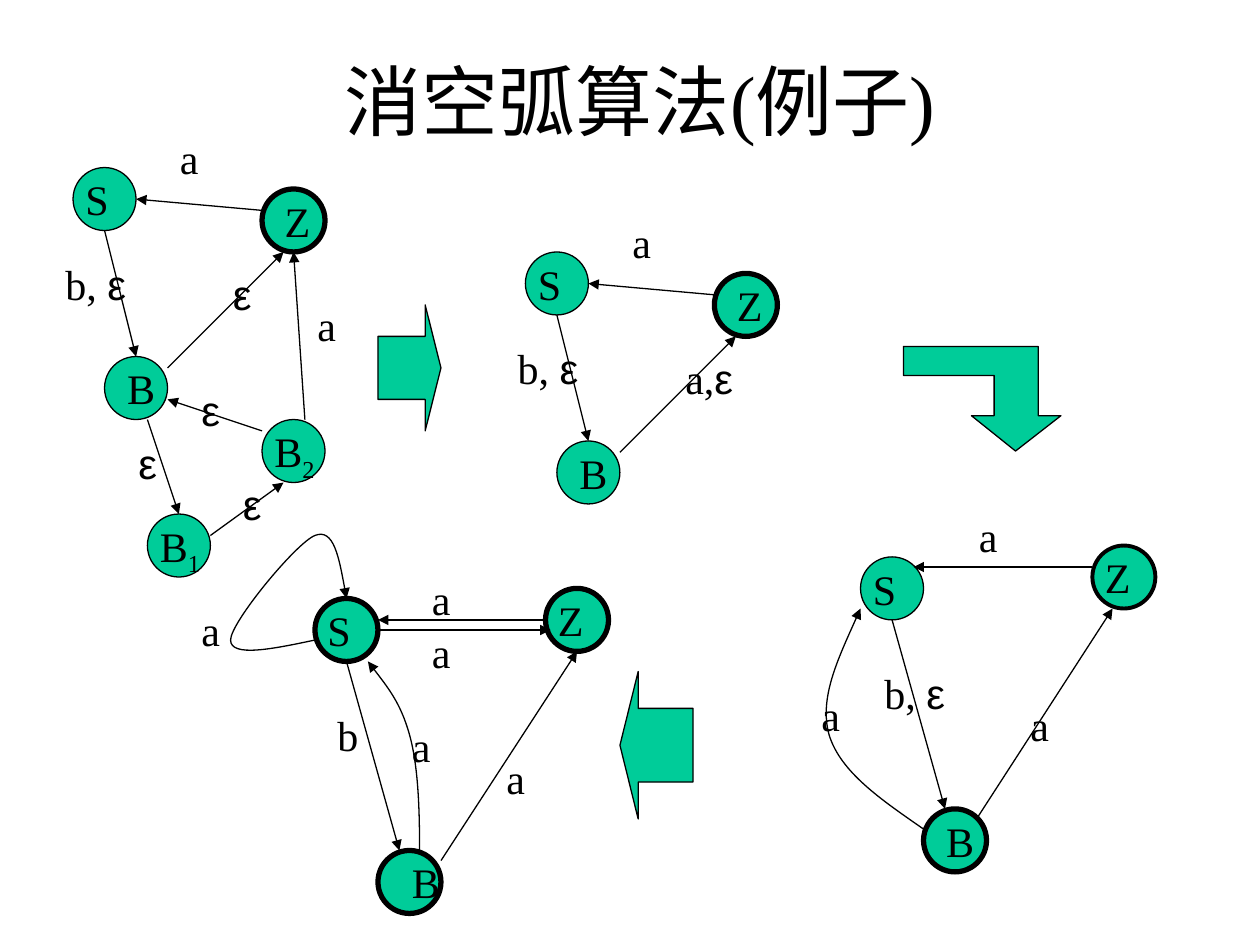
import itertools
import pptx
import pptx.util
import pptx.dml.color
import pptx.enum.shapes
import pptx.enum.text
import pptx.oxml
import pptx.oxml.ns

Inches = pptx.util.Inches
Pt = pptx.util.Pt
Kind = pptx.enum.shapes.MSO_SHAPE


def color(text):
    return pptx.dml.color.RGBColor.from_string(text)


class Board:
    ink = "000000"
    green = "00CC99"
    serif = "Times New Roman"
    sans = "Arial"
    thin = 0.74
    thick = 3
    size = 0.5
    widths = {"S": 0.67, "B": 0.42, "Z": 0.75, "B1": 0.75, "B2": 0.75}

    def __init__(self, deck):
        self.slide = deck.slides.add_slide(deck.slide_layouts[5])
        self.group()

    def group(self, dx=0, dy=0):
        self.dx, self.dy = dx, dy
        self.shapes = self.slide.shapes.add_group_shape().shapes

    def place(self, x, y):
        return Inches(x + self.dx), Inches(y + self.dy)

    def title(self, text, x, y, w, h):
        box = self.slide.shapes.title
        box.left, box.top, box.width, box.height = map(Inches, (x, y, w, h))
        box.text_frame.text = text
        para = box.text_frame.paragraphs[0]
        para.alignment = pptx.enum.text.PP_ALIGN.CENTER
        self.style(para.font, self.serif, 44)

    def style(self, font, name, size):
        font.name = name
        font.size = Pt(size)
        font.color.rgb = color(self.ink)

    def paint(self, shape, width, fill=True):
        shape.shadow.inherit = False
        if fill:
            shape.fill.solid()
            shape.fill.fore_color.rgb = color(self.green)
        else:
            shape.fill.background()
        self.stroke(shape, width)

    def stroke(self, shape, width):
        shape.line.color.rgb = color(self.ink)
        shape.line.width = Pt(width)

    def head(self, shape):
        tail = pptx.oxml.parse_xml(
            '<a:tailEnd %s type="triangle"/>' % pptx.oxml.ns.nsdecls("a"))
        shape.line._get_or_add_ln().append(tail)

    def block(self, kind, x, y, w, h, width=thin):
        shape = self.shapes.add_shape(
            kind, *self.place(x, y), Inches(w), Inches(h))
        self.paint(shape, width)
        return shape

    def arrow(self, kind, x, y, w, h):
        shape = self.block(kind, x, y, w, h)
        shape.adjustments[0] = 0.5
        shape.adjustments[1] = 0.25

    def node(self, text, x, y, shift=0, width=thin):
        self.block(Kind.OVAL, x, y, self.size, self.size, width)
        self.label(text, x + shift, y, self.widths[text])

    def label(self, text, x, y, w=0.42):
        high = 0.56 if text[-1].isdigit() else 0.5
        box = self.shapes.add_textbox(
            *self.place(x, y), Inches(w), Inches(high))
        frame = box.text_frame
        frame.word_wrap = True
        frame.auto_size = pptx.enum.text.MSO_AUTO_SIZE.SHAPE_TO_FIT_TEXT
        para = frame.paragraphs[0]
        para.space_before = Pt(15)
        self.style(para.font, self.sans if text == "ε" else self.serif, 24)
        for (greek, digit), part in itertools.groupby(
                text, lambda c: (c == "ε", c.isdigit())):
            run = para.add_run()
            run.text = "".join(part)
            if greek and text != "ε":
                run.font.name = self.sans
            if digit:
                run.font._element.set("baseline", "-25000")

    def edge(self, x1, y1, x2, y2):
        line = self.shapes.add_connector(
            pptx.enum.shapes.MSO_CONNECTOR.STRAIGHT,
            *self.place(x1, y1), *self.place(x2, y2))
        self.stroke(line, self.thin)
        self.head(line)
        line._element.spPr.append(pptx.oxml.parse_xml(
            "<a:effectLst %s/>" % pptx.oxml.ns.nsdecls("a")))

    def outline(self, points, close):
        spots = [self.place(*point) for point in points]
        form = self.shapes.build_freeform(*spots[0])
        form.add_line_segments(spots[1:], close=close)
        shape = form.convert_to_shape()
        self.paint(shape, self.thin, close)
        return shape

    def curve(self, *points):
        shape = self.outline(points, False)
        self.head(shape)
        tag = pptx.oxml.ns.qn
        track = next(shape._element.iter(tag("a:pathLst")))[0]
        steps = track.findall(tag("a:lnTo"))
        for start in range(0, len(steps), 3):
            bend = pptx.oxml.parse_xml(
                "<a:cubicBezTo %s/>" % pptx.oxml.ns.nsdecls("a"))
            for step in steps[start:start + 3]:
                bend.append(step[0])
                track.remove(step)
            track.append(bend)

    def core(self):
        self.node("S", 0.58, 1.33)
        self.node("Z", 2.08, 1.5, 0.08, self.thick)
        self.node("B", 0.83, 2.83, 0.08)
        self.edge(0.83, 1.83, 1.08, 2.83)
        self.edge(1.33, 2.92, 2.25, 2)
        self.edge(2.08, 1.67, 1.08, 1.58)
        self.label("b, ε", 0.42, 2, 0.75)
        self.label("a", 1.33, 1, 1)


deck = pptx.Presentation()
deck.slide_width, deck.slide_height = Inches(10), Inches(7.5)
board = Board(deck)
board.title("消空弧算法(例子)", 1.83, 0.17, 6.5, 1.25)

board.core()
board.node("B1", 1.17, 4.08)
board.node("B2", 2.08, 3.33)
for ends in ((1.17, 3.33, 1.42, 4.08), (1.67, 4.25, 2.25, 3.83),
             (2.08, 3.42, 1.33, 3.17), (2.42, 3.33, 2.33, 2)):
    board.edge(*ends)
for x, y in ((1.5, 3), (1.83, 3.75), (1, 3.42), (1.75, 2.08)):
    board.label("ε", x, y)
board.label("a", 2.42, 2.33)

board.group(3.59, 0.67)
board.core()
board.label("a,ε", 1.75, 2.08, 0.92)
board.arrow(Kind.RIGHT_ARROW, -0.59, 1.75, 0.5, 1)

board.group()
board.outline(((7.17, 2.98), (7.89, 2.98), (7.89, 3.3), (7.71, 3.3),
               (8.06, 3.58), (8.42, 3.3), (8.24, 3.3), (8.24, 2.75),
               (7.17, 2.75)), True)
board.node("S", 6.83, 4.42)
board.node("Z", 8.67, 4.33, 0, 2.24)
board.node("B", 7.33, 6.42, 0.08, board.thick)
board.edge(7.08, 4.92, 7.5, 6.42)
board.edge(8.67, 4.5, 7.25, 4.5)
board.edge(7.75, 6.5, 8.83, 4.83)
board.curve((7.33, 6.58), (7, 6.35), (6.67, 6.13), (6.58, 5.83),
            (6.5, 5.54), (6.67, 5.19), (6.83, 4.83))
board.label("b, ε", 6.92, 5.25, 0.83)
for x, y in ((7.67, 4), (8.08, 5.5), (6.42, 5.42)):
    board.label("a", x, y)

board.group()
board.node("S", 2.5, 4.75, 0, board.thick)
board.node("Z", 4.33, 4.67, 0, board.thick)
board.node("B", 3, 6.75, 0.17, board.thick)
for ends in ((2.75, 5.25, 3.17, 6.75), (3, 5, 4.37, 5),
             (4.33, 4.92, 3, 4.92), (3.5, 6.83, 4.58, 5.17)):
    board.edge(*ends)
board.arrow(Kind.LEFT_ARROW, 4.92, 5.33, 0.58, 1.17)
board.curve((2.5, 5.08), (2.17, 5.15), (1.83, 5.22), (1.83, 5.08),
            (1.83, 4.94), (2.35, 4.31), (2.5, 4.25),
            (2.65, 4.19), (2.7, 4.47), (2.75, 4.75))
board.curve((3.33, 6.75), (3.33, 6.42), (3.32, 6.08), (3.25, 5.83),
            (3.18, 5.58), (3.05, 5.42), (2.92, 5.25))
board.label("b", 2.58, 5.58, 0.83)
for x, y in ((3.33, 4.92), (3.33, 4.5), (3.92, 5.92), (1.5, 4.75),
             (3.17, 5.67)):
    board.label("a", x, y)

deck.save("out.pptx")
